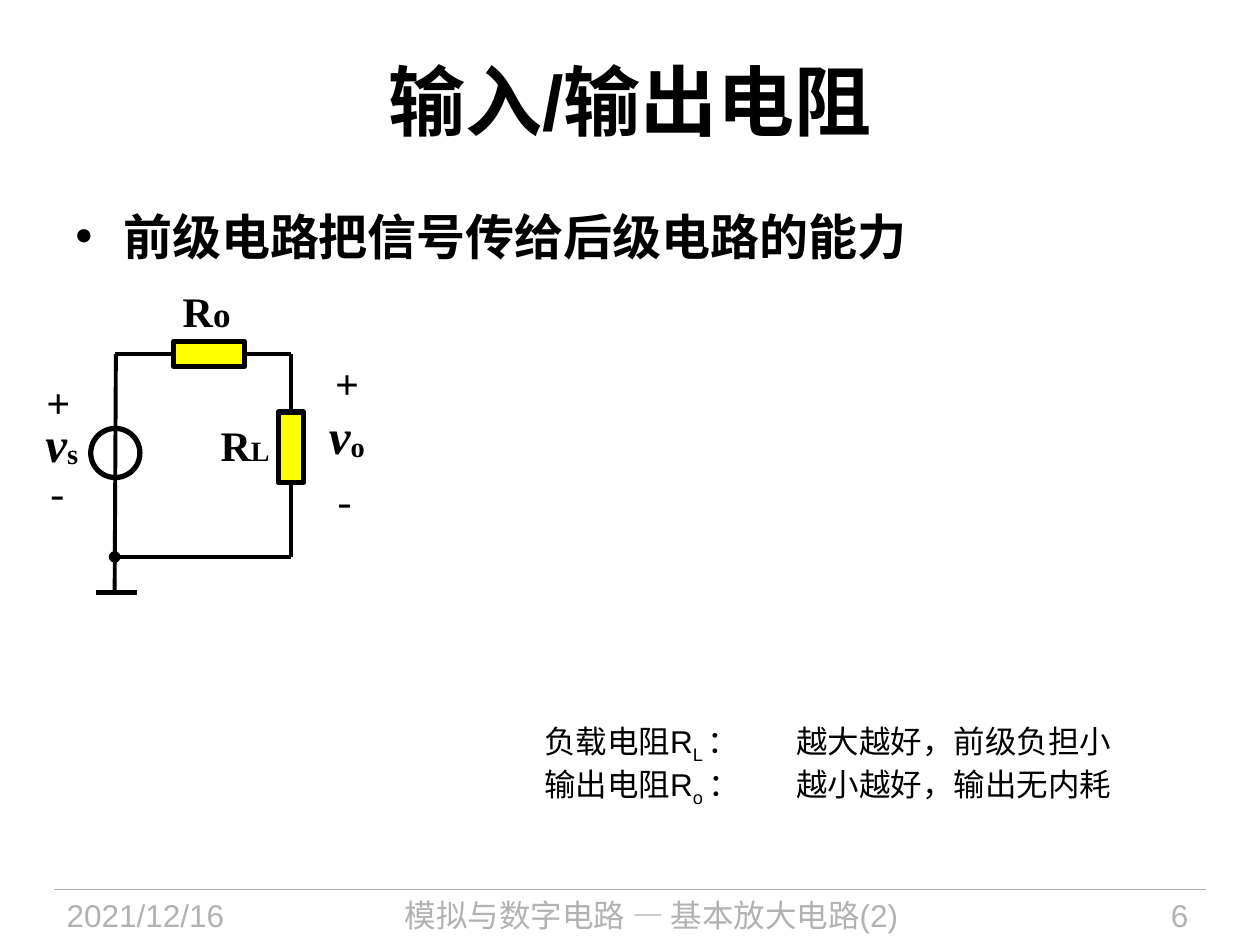
"""Build the slide on input and output resistance."""
from dataclasses import dataclass

from lxml.etree import SubElement
from pptx import Presentation
from pptx.dml.color import RGBColor
from pptx.enum.shapes import MSO_CONNECTOR, MSO_SHAPE
from pptx.enum.text import MSO_ANCHOR, MSO_AUTO_SIZE, PP_ALIGN
from pptx.oxml.ns import qn
from pptx.util import Emu, Pt

PX = 9144
COLOURS = {"ink": "000000", "footer": "B2B2B2", "resistor": "FFFF00"}
SERIF = {"name": "Times New Roman", "size": Pt(24), "bold": True}
SYMBOL = SERIF | {"size": Pt(28)}
SANS = {"name": "Arial", "size": Pt(18)}


@dataclass
class Span:
    text: str
    font: dict
    colour: str = "ink"
    baseline: int = 0


@dataclass
class Label:
    area: tuple
    lines: list
    align: PP_ALIGN = PP_ALIGN.LEFT
    anchor: MSO_ANCHOR = MSO_ANCHOR.TOP
    margins: tuple = (10, 5)
    wrap: bool = True


@dataclass
class Wire:
    start: tuple
    end: tuple
    width: float = 2.25
    colour: str = "ink"
    dot: bool = False


@dataclass
class Part:
    kind: MSO_SHAPE
    area: tuple
    fill: str = ""


def px(values: tuple) -> list:
    return [Emu(value * PX) for value in values]


def set_all(target, values: dict) -> None:
    for name, value in values.items():
        setattr(target, name, value)


def colour(name: str) -> RGBColor:
    return RGBColor.from_string(COLOURS[name])


def write(frame, label: Label) -> None:
    side, edge = px(label.margins)
    set_all(frame, {
        "word_wrap": label.wrap,
        "auto_size": MSO_AUTO_SIZE.NONE if label.wrap else MSO_AUTO_SIZE.SHAPE_TO_FIT_TEXT,
        "vertical_anchor": label.anchor,
        "margin_left": side, "margin_right": side,
        "margin_top": edge, "margin_bottom": edge,
    })
    for index, spans in enumerate(label.lines):
        para = frame.add_paragraph() if index else frame.paragraphs[0]
        para.alignment = label.align
        for span in spans:
            run = para.add_run()
            run.text = span.text
            set_all(run.font, span.font)
            run.font.color.rgb = colour(span.colour)
            if span.baseline:
                run._r.get_or_add_rPr().set("baseline", str(span.baseline * 1000))


def add_label(page, label: Label):
    box = page.shapes.add_textbox(*px(label.area))
    write(box.text_frame, label)
    return box


def add_wire(page, wire: Wire) -> None:
    line = page.shapes.add_connector(MSO_CONNECTOR.STRAIGHT, *px(wire.start + wire.end))
    line.line.width = Pt(wire.width)
    line.line.color.rgb = colour(wire.colour)
    if wire.dot:
        SubElement(line.line._get_or_add_ln(), qn("a:tailEnd"), type="oval")
    SubElement(line._element.spPr, qn("a:effectLst"))


def add_part(page, part: Part) -> None:
    shape = page.shapes.add_shape(part.kind, *px(part.area))
    shape.shadow.inherit = False
    shape.line.width = Pt(3)
    shape.line.color.rgb = colour("ink")
    if part.fill:
        shape.fill.solid()
        shape.fill.fore_color.rgb = colour(part.fill)
    else:
        shape.fill.background()


def add_bullet(box) -> None:
    properties = box.text_frame.paragraphs[0]._p.get_or_add_pPr()
    properties.set("marL", str(38 * PX))
    properties.set("indent", str(-38 * PX))
    SubElement(properties, qn("a:buFont"), typeface="Arial")
    SubElement(properties, qn("a:buChar"), char="•")


def sign(text: str, area: tuple, bold: bool = False) -> Label:
    return Label(area, [[Span(text, SERIF | {"bold": bold})]],
                 anchor=MSO_ANCHOR.MIDDLE, margins=(0, 0), wrap=False)


def voltage(subscript: str, area: tuple) -> Label:
    spans = [Span("v", SYMBOL | {"italic": True}), Span(subscript, SYMBOL, baseline=-5)]
    return Label(area, [spans], anchor=MSO_ANCHOR.MIDDLE, margins=(0, 0), wrap=False)


def resistance(subscript: str, size: int, area: tuple) -> Label:
    spans = [Span("R", SERIF), Span(subscript, SERIF | {"size": Pt(size)})]
    return Label(area, [spans], PP_ALIGN.CENTER, MSO_ANCHOR.MIDDLE, wrap=False)


def footer(text: str, left: int, width: int, align: PP_ALIGN) -> Label:
    return Label((left, 706, width, 44), [[Span(text, SANS, "footer")]], align)


def advice(name: str, subscript: str, text: str) -> list:
    return [Span(f"{name}R", SANS), Span(f"{subscript} ", SANS, baseline=-25),
            Span(f"：\t{text}", SANS)]


WIRES = [
    Wire((43, 706), (957, 706), 0.75, "footer"),
    Wire((231, 281), (91, 281)),
    Wire((231, 281), (231, 442)),
    Wire((92, 281), (91, 470)),
    Wire((76, 470), (109, 470), 3),
    Wire((231, 442), (91, 442), dot=True),
]
PARTS = [
    Part(MSO_SHAPE.OVAL, (72, 340, 39, 39)),
    Part(MSO_SHAPE.RECTANGLE, (138, 271, 56, 20), "resistor"),
    Part(MSO_SHAPE.RECTANGLE, (221, 327, 20, 56), "resistor"),
]
TITLE = Label((50, 17, 900, 125),
              [[Span("输入/输出电阻", SANS | {"size": Pt(44), "bold": True})]],
              PP_ALIGN.CENTER, MSO_ANCHOR.MIDDLE)
BODY = Label((50, 159, 900, 106), [[Span("前级电路把信号传给后级电路的能力", SYMBOL)]])
LABELS = [
    footer("2021/12/16", 43, 188, PP_ALIGN.LEFT),
    footer("模拟与数字电路 — 基本放大电路(2)", 249, 536, PP_ALIGN.CENTER),
    footer("6", 820, 133, PP_ALIGN.RIGHT),
    Label((27, 294, 36, 50), [[Span("+", SERIF)]]),
    sign("-", (40, 370, 11, 40)),
    voltage("s", (36, 328, 28, 47)),
    sign("+", (266, 284, 19, 40), bold=True),
    sign("-", (268, 377, 11, 40)),
    voltage("o", (261, 322, 30, 47)),
    resistance("o", 20, (135, 221, 58, 51)),
    resistance("L", 16, (165, 328, 59, 50)),
    Label((422, 568, 536, 71), [advice("负载电阻", "L", "越大越好，前级负担小"),
                                advice("输出电阻", "o", "越小越好，输出无内耗")]),
]


def main() -> None:
    deck = Presentation()
    deck.slide_width, deck.slide_height = px((1000, 750))
    page = deck.slides.add_slide(deck.slide_layouts[5])
    title = page.shapes.title
    set_all(title, dict(zip(("left", "top", "width", "height"), px(TITLE.area))))
    write(title.text_frame, TITLE)
    add_bullet(add_label(page, BODY))
    for wire in WIRES:
        add_wire(page, wire)
    for part in PARTS:
        add_part(page, part)
    for label in LABELS:
        add_label(page, label)
    deck.save("out.pptx")


if __name__ == "__main__":
    main()
